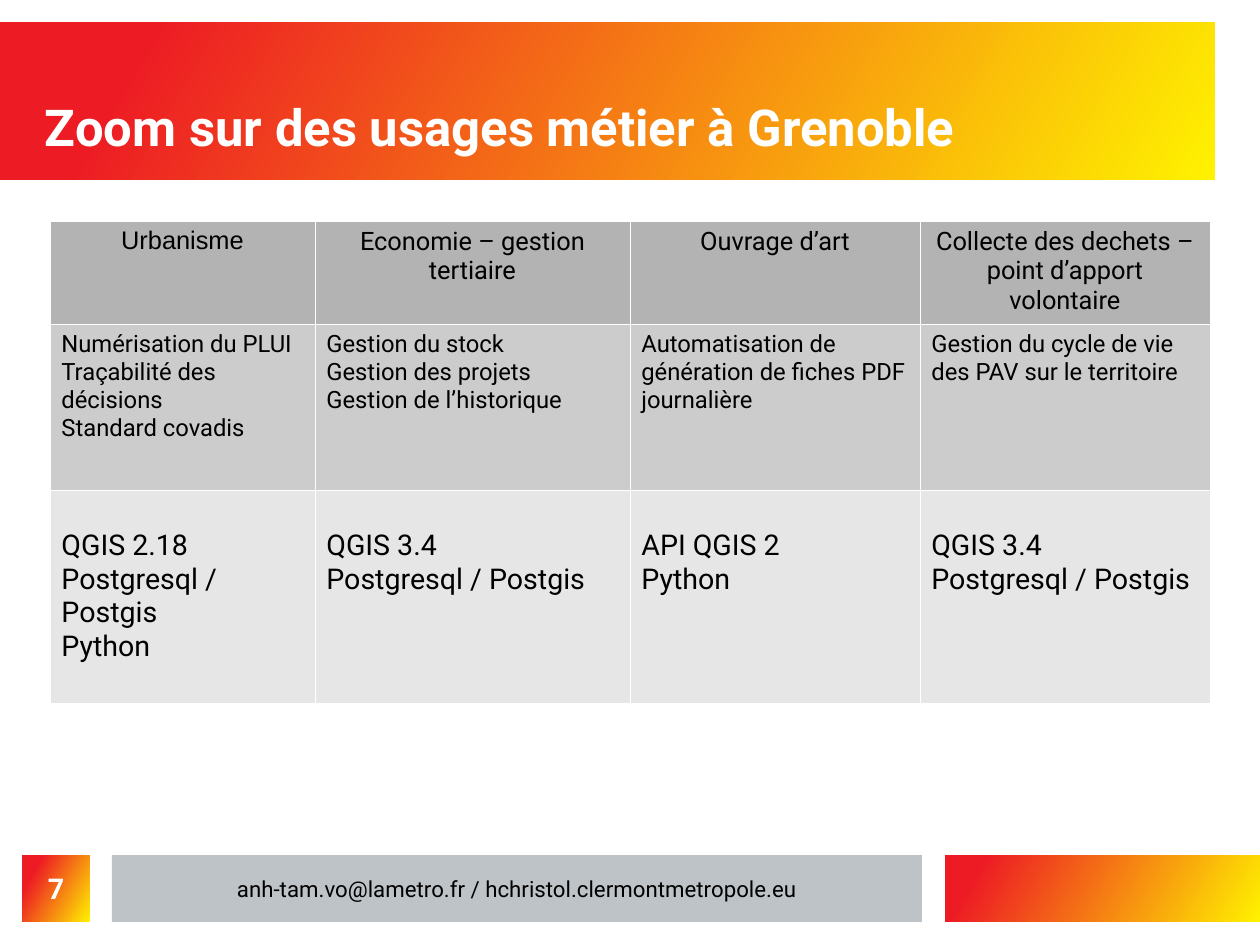
from dataclasses import dataclass

from lxml.etree import SubElement
from pptx import Presentation
from pptx.dml.color import RGBColor as RGB
from pptx.enum.shapes import MSO_SHAPE as SHAPE
from pptx.enum.text import MSO_ANCHOR as ANCHOR, PP_ALIGN as ALIGN
from pptx.oxml.ns import qn
from pptx.util import Emu, Pt

SCALE = 8000


@dataclass(frozen=True)
class Theme:
    font: str = "Roboto"
    alt_font: str = "Arial"
    red: str = "ED1C24"
    yellow: str = "FFF200"
    footer: str = "BDC3C7"
    white: str = "FFFFFF"
    black: str = "000000"
    row_fills: tuple = ("B3B3B3", "CCCCCC", "E6E6E6")
    row_sizes: tuple = (16, 15, 18)
    title_size: int = 32
    number_size: int = 18
    footer_size: int = 14


T = Theme()

COLS = (265, 315, 290, 290)
ROWS = (101, 166, 213)
TOP_MARGINS = (6, 6, 39)
USAGES = (
    ("Urbanisme", "Economie – gestion tertiaire", "Ouvrage d’art",
     "Collecte des dechets – point d’apport volontaire"),
    ("Numérisation du PLUI\nTraçabilité des décisions\nStandard covadis",
     "Gestion du stock\nGestion des projets\nGestion de l’historique",
     "Automatisation de génération de fiches PDF journalière",
     "Gestion du cycle de vie des PAV sur le territoire"),
    ("QGIS 2.18\nPostgresql / Postgis\nPython",
     "QGIS 3.4\nPostgresql / Postgis",
     "API QGIS 2\nPython",
     "QGIS 3.4\nPostgresql / Postgis"),
)


def px(n):
    return Emu(n * SCALE)


def write(tf, text, size, color, align=ALIGN.LEFT, bold=False, font=T.font):
    tf.text = text
    for p in tf.paragraphs:
        p.alignment = align
        p.font.name = font
        p.font.size = Pt(size)
        p.font.bold = bold
        p.font.color.rgb = RGB.from_string(color)


def frame(sp, anchor, wrap=True):
    tf = sp.text_frame
    tf.margin_left = tf.margin_top = tf.margin_right = tf.margin_bottom = 0
    tf.vertical_anchor = anchor
    tf.word_wrap = wrap
    return tf


def add_rect(s, *box):
    sp = s.shapes.add_shape(SHAPE.RECTANGLE, *map(px, box))
    sp.shadow.inherit = False
    sp.line.fill.background()
    return sp


def add_gradient(s, box, start):
    sp = add_rect(s, *box)
    sp.fill.gradient()
    sp.fill.gradient_angle = 330
    stops = ((start, T.red), (1, T.yellow))
    for stop, (position, color) in zip(sp.fill.gradient_stops, stops):
        stop.position = position
        stop.color.rgb = RGB.from_string(color)
    return sp


def add_footer(s, text):
    sp = add_rect(s, 112, 855, 810, 67)
    sp.fill.solid()
    sp.fill.fore_color.rgb = RGB.from_string(T.footer)
    write(frame(sp, ANCHOR.MIDDLE, False), text, T.footer_size, T.black, ALIGN.CENTER)


def add_title(s, text):
    sp = s.shapes.add_textbox(*map(px, (45, 45, 1170, 112)))
    write(frame(sp, ANCHOR.BOTTOM), text, T.title_size, T.white, bold=True)


def set_borders(cell):
    tc_pr = cell._tc.get_or_add_tcPr()
    for side in ("lnL", "lnR", "lnT", "lnB"):
        ln = SubElement(tc_pr, qn(f"a:{side}"), w=str(Pt(0.06)))
        fill = SubElement(ln, qn("a:solidFill"))
        SubElement(fill, qn("a:srgbClr"), val=T.white)


def fill_cell(cell, text, row, font):
    set_borders(cell)
    cell.fill.solid()
    cell.fill.fore_color.rgb = RGB.from_string(T.row_fills[row])
    cell.margin_top = px(TOP_MARGINS[row])
    align = ALIGN.LEFT if row else ALIGN.CENTER
    write(cell.text_frame, text, T.row_sizes[row], T.black, align, font=font)


def add_usage_table(s):
    box = (50, 221, sum(COLS), sum(ROWS))
    table = s.shapes.add_table(len(ROWS), len(COLS), *map(px, box)).table
    table.first_row = table.horz_banding = False
    for column, width in zip(table.columns, COLS):
        column.width = px(width)
    for row, height in zip(table.rows, ROWS):
        row.height = px(height)
    for i, texts in enumerate(USAGES):
        for j, text in enumerate(texts):
            font = T.alt_font if i == j == 0 else T.font
            fill_cell(table.cell(i, j), text, i, font)


def main():
    prs = Presentation()
    prs.slide_width, prs.slide_height = px(1260), px(945)
    s = prs.slides.add_slide(prs.slide_layouts[6])
    add_gradient(s, (0, 22, 1215, 158), 0.12)
    add_gradient(s, (945, 855, 315, 67), 0.12)
    add_footer(s, "anh-tam.vo@lametro.fr / hchristol.clermontmetropole.eu")
    add_title(s, "Zoom sur des usages métier à Grenoble")
    add_usage_table(s)
    number = add_gradient(s, (22, 855, 68, 67), 0.2)
    write(frame(number, ANCHOR.MIDDLE), "7", T.number_size, T.white, ALIGN.CENTER, True)
    prs.save("out.pptx")


if __name__ == "__main__":
    main()
